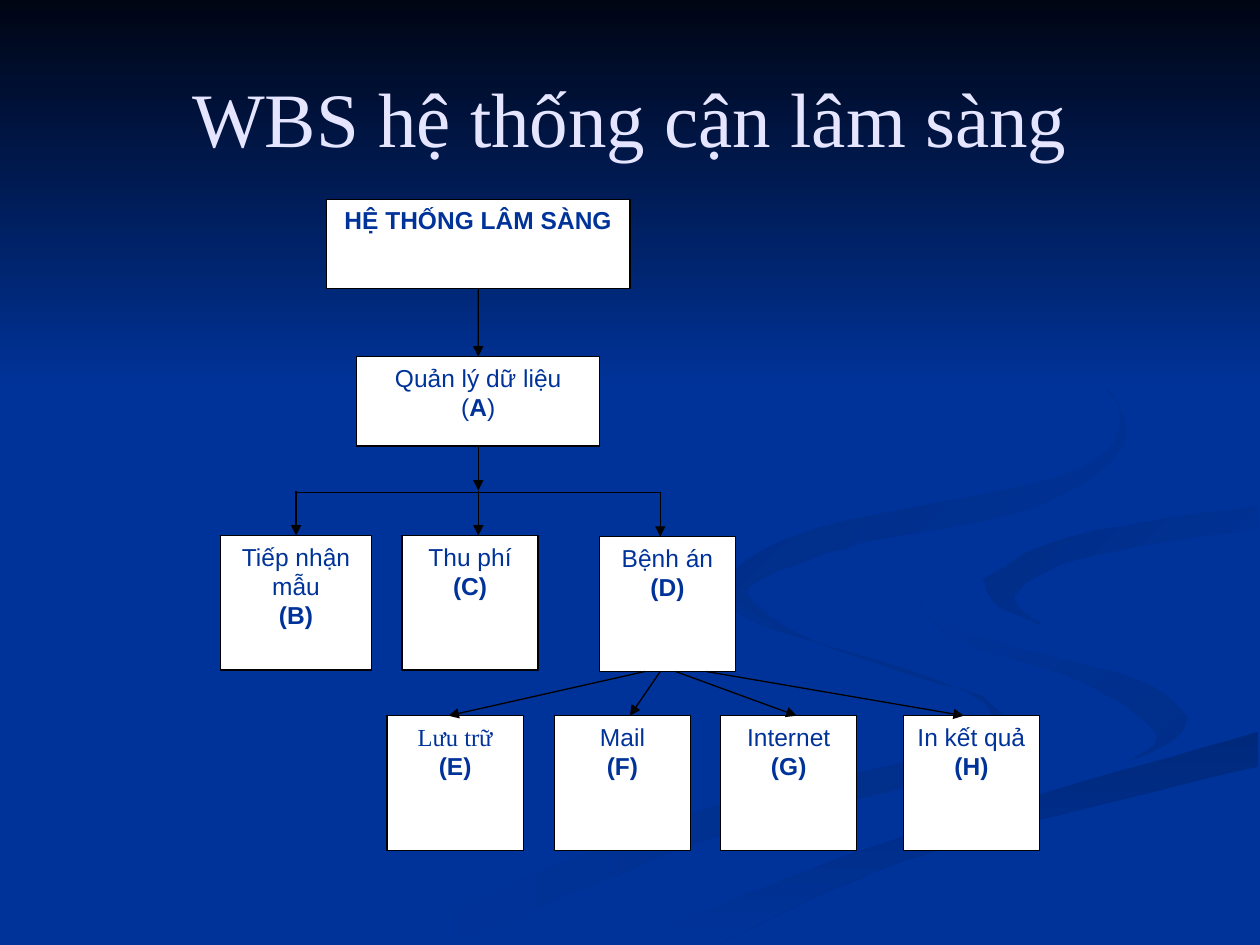
from lxml.etree import SubElement
from pptx import Presentation
from pptx.dml.color import RGBColor
from pptx.enum.shapes import MSO_CONNECTOR as Link, MSO_SHAPE as Preset
from pptx.enum.text import MSO_ANCHOR as Anchor, PP_ALIGN as Align
from pptx.oxml.ns import qn
from pptx.util import Pt

COLORS = {
    "blue": "003399", "night": "000514", "title": "E5E5FF", "white": "FFFFFF", "black": "000000",
    "shade": "002E8A", "deep": "00297C", "edge": "002C85", "curl": "002B81",
}
SANS, SERIF = "Arial", "Times New Roman"

RIBBONS = [
    ("shade", "blue", 180, [
        [(562, 398), (462, 365), (414, 330)],
        [(410, 338), (433, 356), (534, 388), (566, 408), (532, 431), (388, 467), (216, 539)],
        [(260, 539), (406, 479), (544, 442), (576, 418), (562, 398)]]),
    ("shade", "blue", 225, [
        [(679, 410), (652, 389), (570, 367), (528, 348), (521, 334)],
        [(521, 334), (544, 364), (615, 388), (660, 418), (644, 436)],
        [(644, 436), (671, 425), (679, 410)]]),
    ("deep", "blue", 90, [
        [(411, 539), (500, 498), (591, 469), (719, 438)],
        [(719, 418), (598, 453), (454, 499), (362, 539)]]),
    ("blue", "blue", 0, [
        [(522, 334), (546, 359), (652, 389), (679, 410), (642, 436), (477, 481), (343, 539)],
        [(362, 539), (501, 482), (719, 418)],
        [(719, 387), (624, 366), (562, 333), (612, 307), (719, 289)],
        [(719, 279), (613, 296), (534, 316), (522, 334)]]),
    ("blue", "edge", 225, [
        [(562, 331), (570, 346), (595, 357)],
        [(595, 357), (580, 340), (618, 319), (719, 302)],
        [(719, 289), (611, 307), (562, 331)]]),
    ("blue", "curl", 225, [
        [(492, 310), (594, 289), (644, 248), (607, 198), (549, 168)],
        [(549, 168), (616, 205), (640, 241), (606, 272), (467, 302), (415, 333), (448, 360)],
        [(448, 360), (428, 335), (492, 310)]]),
]

TRUNK, LEFT, RIGHT = 273.3, 169.2, 377.3
ROW, BUS, LEAF_ROW = 306, 280.3, 409
SMALL = (77.8, 77)
BOXES = {
    "root": (186.5, 113.8, 173.5, 51.1, ["HỆ THỐNG LÂM SÀNG"]),
    "A": (203.8, 203.8, 139, 51.1, ["Quản lý dữ liệu", "(|A|)"]),
    "B": (126, ROW, 86.4, 77, ["Tiếp nhận mẫu", "(B)"]),
    "C": (229.7, ROW, *SMALL, ["Thu phí", "(C)"]),
    "D": (342.5, ROW + 0.7, *SMALL, ["Bệnh án", "(D)"]),
    "E": (221.2, LEAF_ROW, *SMALL, ["Lưu trữ", "(E)"], SERIF),
    "F": (316.8, LEAF_ROW, *SMALL, ["Mail", "(F)"]),
    "G": (411.8, LEAF_ROW, *SMALL, ["Internet", "(G)"]),
    "H": (516.2, LEAF_ROW, *SMALL, ["In kết quả", "(H)"]),
}
FAN = [(368.6, 256.3), (RIGHT, 360), (386, 455.2), (403.4, 550.8)]


def smooth(points, steps=6):
    """Return points along a Catmull-Rom curve through the given points."""
    padded = [points[0], *points, points[-1]]
    curve = [points[0]]
    for a, b, c, d in zip(padded, padded[1:], padded[2:], padded[3:]):
        for step in range(1, steps + 1):
            t = step / steps
            curve.append(tuple(
                (2 * q + (r - p) * t + (2 * p - 5 * q + 4 * r - s) * t ** 2
                 + (3 * q - p - 3 * r + s) * t ** 3) / 2
                for p, q, r, s in zip(a, b, c, d)))
    return curve


class Painter:
    """Draws styled elements on the current slide."""

    def __init__(self, page):
        self.page, self.shapes = page, page.shapes

    def color(self, name):
        return RGBColor.from_string(COLORS[name])

    def background(self, name):
        self.page.background.fill.solid()
        self.page.background.fill.fore_color.rgb = self.color(name)

    def shade(self, shape, start, end, angle):
        shape.shadow.inherit = False
        shape.line.fill.background()
        shape.fill.gradient()
        shape.fill.gradient_angle = -angle % 360
        for stop, name, position in zip(shape.fill.gradient_stops, (start, end), (0, 1)):
            stop.color.rgb, stop.position = self.color(name), position

    def ribbon(self, start, end, angle, edges):
        outline = [point for edge in edges for point in smooth(edge)]
        builder = self.shapes.build_freeform(*outline[0], scale=Pt(1))
        builder.add_line_segments(outline[1:], close=True)
        self.shade(builder.convert_to_shape(), start, end, angle)

    def band(self, height):
        band = self.shapes.add_shape(Preset.RECTANGLE, 0, 0, Pt(720), Pt(height))
        self.shade(band, "night", "blue", 90)

    def style(self, para, size, font, color, bold=False):
        para.alignment = Align.CENTER
        for span in para.runs:
            span.font.size, span.font.name, span.font.bold = Pt(size), font, bold
            span.font.color.rgb = self.color(color)

    def title(self, text):
        box = self.shapes.add_textbox(Pt(36), Pt(21.6), Pt(648), Pt(90))
        frame = box.text_frame
        frame.word_wrap, frame.vertical_anchor = True, Anchor.MIDDLE
        frame.text = text
        self.style(frame.paragraphs[0], 44, SERIF, "title")

    def box(self, left, top, width, height, lines, font=SANS):
        box = self.shapes.add_shape(Preset.RECTANGLE, Pt(left), Pt(top), Pt(width), Pt(height))
        box.shadow.inherit = False
        box.fill.solid()
        box.fill.fore_color.rgb = self.color("white")
        box.line.color.rgb, box.line.width = self.color("black"), Pt(0.75)
        frame = box.text_frame
        frame.word_wrap, frame.vertical_anchor = True, Anchor.TOP
        frame.text = lines[0]
        self.style(frame.paragraphs[0], 14, font, "blue", len(lines) == 1)
        for line in lines[1:]:
            first, *rest = line.split("|")
            para = frame.add_paragraph()
            para.text = first
            for piece in rest:
                para.add_run().text = piece
            self.style(para, 14, SANS, "blue", True)
            if rest:
                for span in para.runs[::2]:
                    span.font.bold = False
        return box

    def line(self, x1, y1, x2, y2, source=None, target=None, arrow=True):
        link = self.shapes.add_connector(Link.STRAIGHT, Pt(x1), Pt(y1), Pt(x2), Pt(y2))
        if source:
            link.begin_connect(source, 2)
        if target:
            link.end_connect(target, 0)
        link.line.color.rgb, link.line.width = self.color("black"), Pt(0.75)
        properties = link._element.spPr
        if arrow:
            SubElement(properties.find(qn("a:ln")), qn("a:tailEnd"), type="triangle")
        SubElement(properties, qn("a:effectLst"))


def main():
    deck = Presentation()
    deck.slide_width, deck.slide_height = Pt(720), Pt(540)
    painter = Painter(deck.slides.add_slide(deck.slide_layouts[6]))
    painter.background("blue")
    for ribbon in RIBBONS:
        painter.ribbon(*ribbon)
    painter.band(222)
    painter.title("WBS hệ thống cận lâm sàng")
    boxes = {name: painter.box(*values) for name, values in BOXES.items()}
    painter.line(TRUNK, 164.9, TRUNK, 203.8, boxes["root"], boxes["A"])
    painter.line(TRUNK, 254.9, TRUNK, BUS, boxes["A"])
    painter.line(LEFT, BUS, LEFT, ROW, target=boxes["B"])
    painter.line(TRUNK, BUS, TRUNK, ROW)
    painter.line(RIGHT, BUS + 1, RIGHT, ROW + 0.7)
    for start, end in FAN:
        painter.line(start, 383.7, end, LEAF_ROW)
    painter.line(LEFT, BUS + 1, RIGHT, BUS + 1, arrow=False)
    deck.save("out.pptx")


if __name__ == "__main__":
    main()
